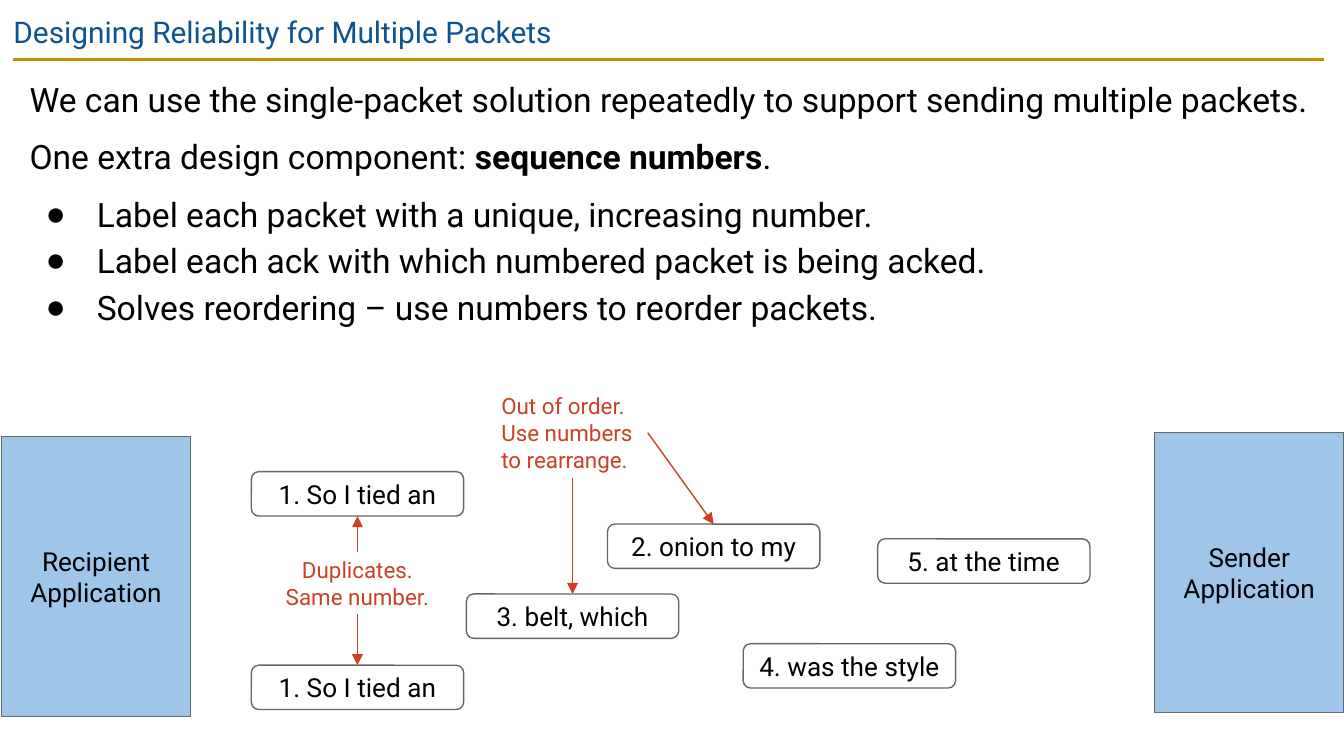
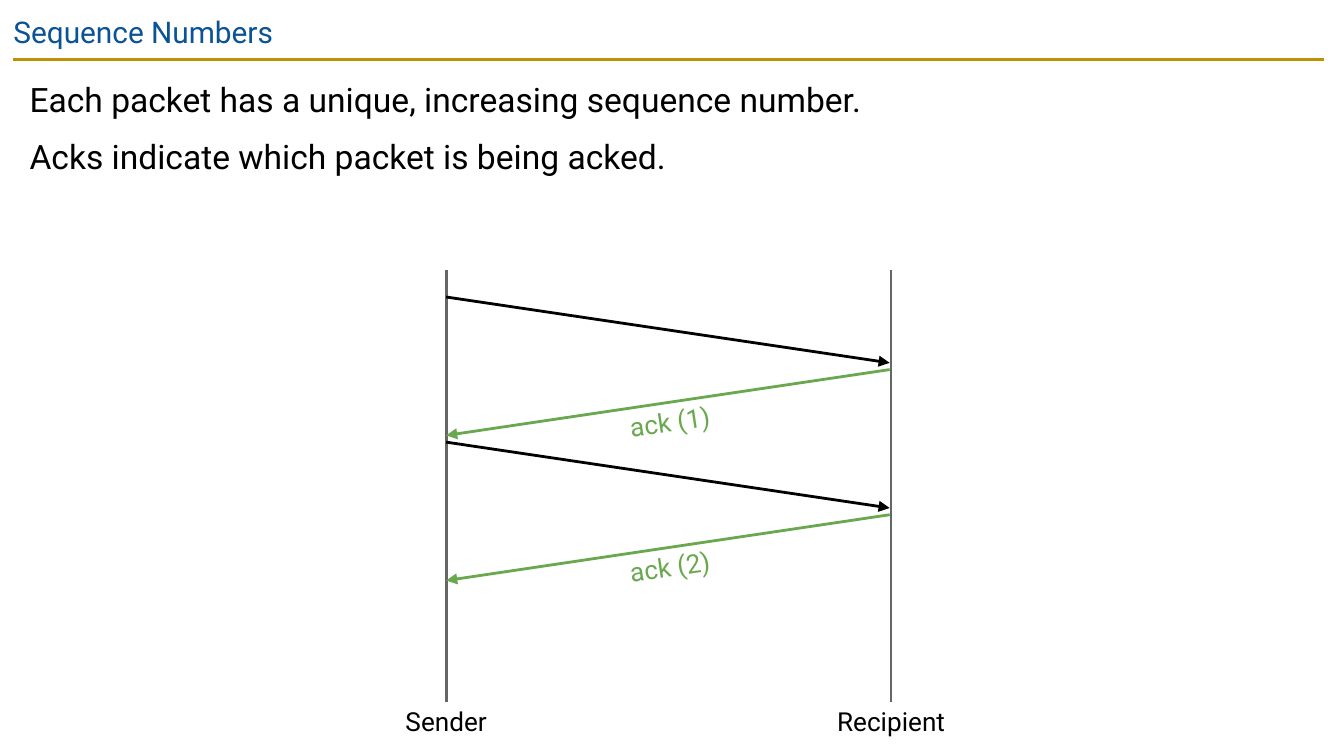
from lxml import etree
from pptx import Presentation
from pptx.dml.color import RGBColor
from pptx.enum.shapes import MSO_CONNECTOR, MSO_SHAPE
from pptx.enum.text import MSO_ANCHOR, MSO_AUTO_SIZE, PP_ALIGN
from pptx.oxml.ns import qn
from pptx.util import Inches, Pt

LINE = MSO_CONNECTOR.STRAIGHT
RECT, ROUND = MSO_SHAPE.RECTANGLE, MSO_SHAPE.ROUNDED_RECTANGLE
LEFT, CENTER = PP_ALIGN.LEFT, PP_ALIGN.CENTER
TOP, MIDDLE = MSO_ANCHOR.TOP, MSO_ANCHOR.MIDDLE
FIXED, GROW = MSO_AUTO_SIZE.NONE, MSO_AUTO_SIZE.SHAPE_TO_FIT_TEXT

FONT = "Roboto"
BLACK = RGBColor(0x00, 0x00, 0x00)
NAVY = RGBColor(0x0B, 0x53, 0x94)
GOLD = RGBColor(0xBF, 0x90, 0x00)
SKY = RGBColor(0x9F, 0xC5, 0xE8)
GRAY = RGBColor(0x66, 0x66, 0x66)
RED = RGBColor(0xCC, 0x41, 0x25)
GREEN = RGBColor(0x6A, 0xA8, 0x4F)

# Body lines: (is bullet, space before, [(text, bold), ...])
DESIGN = [
    (False, 6, [("We can use the single-packet solution repeatedly to support "
                 "sending multiple packets.", False)]),
    (False, 6, [("One extra design component: ", False),
                ("sequence numbers", True), (".", False)]),
    (True, 6, [("Label each packet with a unique, increasing number.", False)]),
    (True, 0, [("Label each ack with which numbered packet is being acked.", False)]),
    (True, 0, [("Solves reordering – use numbers to reorder packets.", False)]),
]
NUMBERS = [
    (False, 6, [("Each packet has a unique, increasing sequence number.", False)]),
    (False, 6, [("Acks indicate which packet is being acked.", False)]),
]

APPS = [("Recipient\nApplication", 0.01, 3.25), ("Sender\nApplication", 8.59, 3.22)]
APP_W, APP_H = 1.41, 2.08
PACKETS = [
    ("1. So I tied an", 1.87, 3.51),
    ("2. onion to my", 4.52, 3.9),
    ("3. belt, which", 3.47, 4.42),
    ("4. was the style", 5.53, 4.79),
    ("5. at the time", 6.53, 4.01),
    ("1. So I tied an", 1.87, 4.95),
]
PACKET_W, PACKET_H = 1.58, 0.33
NOTES = [
    ("Duplicates. Same number.", (2.05, 4.11, 1.22, 0.46), CENTER),
    ("Out of order. Use numbers to rearrange.", (3.7, 2.89, 1.11, 0.67), LEFT),
]
POINTERS = [
    ((2.66, 4.11), (2.66, 3.84)),
    ((2.66, 4.57), (2.66, 4.95)),
    ((4.26, 3.56), (4.26, 4.42)),
    ((4.82, 3.22), (5.31, 3.9)),
]

HOSTS = [("Sender", 3.32, 1.21), ("Recipient", 6.63, 1.31)]
LIFE_TOP, LIFE_END = 2.01, 5.22
ACKS = ["ack (1)", "ack (2)"]
FIRST, STEP, DROP, WAIT = 2.21, 1.08, 0.49, 0.54


def place(shape, box):
    shape.left, shape.top, shape.width, shape.height = map(Inches, box)


def style(frame, size, color, align=LEFT, anchor=TOP, pad=(0.1, 0.1), fit=FIXED):
    frame.word_wrap = True
    frame.auto_size = fit
    frame.vertical_anchor = anchor
    frame.margin_left = frame.margin_right = Inches(pad[0])
    frame.margin_top = frame.margin_bottom = Inches(pad[1])
    for para in frame.paragraphs:
        para.alignment = align
        for run in para.runs:
            run.font.name = FONT
            run.font.size = Pt(size)
            run.font.color.rgb = color


def add_line(shapes, start, end, color, width, arrow=False):
    line = shapes.add_connector(LINE, *map(Inches, start + end))
    line.line.color.rgb = color
    line.line.width = Pt(width)
    if arrow:
        etree.SubElement(line.line._get_or_add_ln(), qn("a:tailEnd"), type="triangle")
    etree.SubElement(line._element.spPr, qn("a:effectLst"))


def add_box(shapes, kind, text, box, fill=None):
    shape = shapes.add_shape(kind, *map(Inches, box))
    shape.shadow.inherit = False
    if fill is None:
        shape.fill.background()
    else:
        shape.fill.solid()
        shape.fill.fore_color.rgb = fill
    shape.line.color.rgb = GRAY
    shape.line.width = Pt(0.75)
    shape.text_frame.text = text
    style(shape.text_frame, 14, BLACK, CENTER, MIDDLE)


def add_label(shapes, text, box, size, color, align=CENTER, pad=(0.03, 0.03), fit=GROW):
    label = shapes.add_textbox(*map(Inches, box))
    label.text_frame.text = text
    style(label.text_frame, size, color, align, pad=pad, fit=fit)
    return label


def set_bullet(para, bullet):
    props = para._p.get_or_add_pPr()
    props.set("marL", str(Inches(0.5 if bullet else 0)))
    props.set("indent", str(Inches(-0.38 if bullet else 0)))
    if bullet:
        etree.SubElement(props, qn("a:buChar"), char="●")
    else:
        etree.SubElement(props, qn("a:buNone"))


def fill_body(body, lines):
    frame = body.text_frame
    for i, (bullet, before, parts) in enumerate(lines):
        para = frame.add_paragraph() if i else frame.paragraphs[0]
        para.line_spacing = 1.15
        para.space_before = Pt(before)
        set_bullet(para, bullet)
        for text, bold in parts:
            run = para.add_run()
            run.text = text
            run.font.bold = bold
    style(frame, 18, BLACK)


def add_slide(prs, title, lines, height):
    """Add a slide with the shared title, gold rule and body text."""
    slide = prs.slides.add_slide(prs.slide_layouts[1])
    add_line(slide.shapes, (0.1, 0.44), (9.85, 0.44), GOLD, 1.5)
    head, body = slide.placeholders
    place(head, (0, 0, 9.32, 0.43))
    head.text_frame.text = title
    style(head.text_frame, 16, NAVY)
    place(body, (0.12, 0.44, 9.74, height))
    fill_body(body, lines)
    return slide.shapes


def draw_design(prs):
    shapes = add_slide(prs, "Designing Reliability for Multiple Packets", DESIGN, 2.67)
    for text, x, y in APPS:
        add_box(shapes, RECT, text, (x, y, APP_W, APP_H), SKY)
    for text, x, y in PACKETS:
        add_box(shapes, ROUND, text, (x, y, PACKET_W, PACKET_H))
    for text, box, align in NOTES:
        add_label(shapes, text, box, 12, RED, align)
    for start, end in POINTERS:
        add_line(shapes, start, end, RED, 0.75, arrow=True)


def draw_numbers(prs):
    shapes = add_slide(prs, "Sequence Numbers", NUMBERS, 1.46)
    for name, x, width in HOSTS:
        add_line(shapes, (x, LIFE_TOP), (x, LIFE_END), GRAY, 1.5)
        box = (x - width / 2, LIFE_END, width, 0.3)
        add_label(shapes, name, box, 14, BLACK, pad=(0.1, 0.03))
    near, far = (x for _, x, _ in HOSTS)
    for i, text in enumerate(ACKS):
        sent = FIRST + i * STEP
        back = sent + WAIT
        add_line(shapes, (near, sent), (far - 0.01, sent + DROP), BLACK, 1.5, arrow=True)
        reply = shapes.add_group_shape().shapes
        add_line(reply, (far - 0.01, back), (near, back + DROP), GREEN, 1.5, arrow=True)
        label = add_label(reply, text, (4.58, back + 0.24, 0.81, 0.31), 14, GREEN,
                          fit=FIXED)
        label.rotation = -8.5


def main():
    prs = Presentation()
    prs.slide_width = Inches(10)
    prs.slide_height = prs.slide_width * 9 // 16
    draw_design(prs)
    draw_numbers(prs)
    prs.save("out.pptx")


if __name__ == "__main__":
    main()
